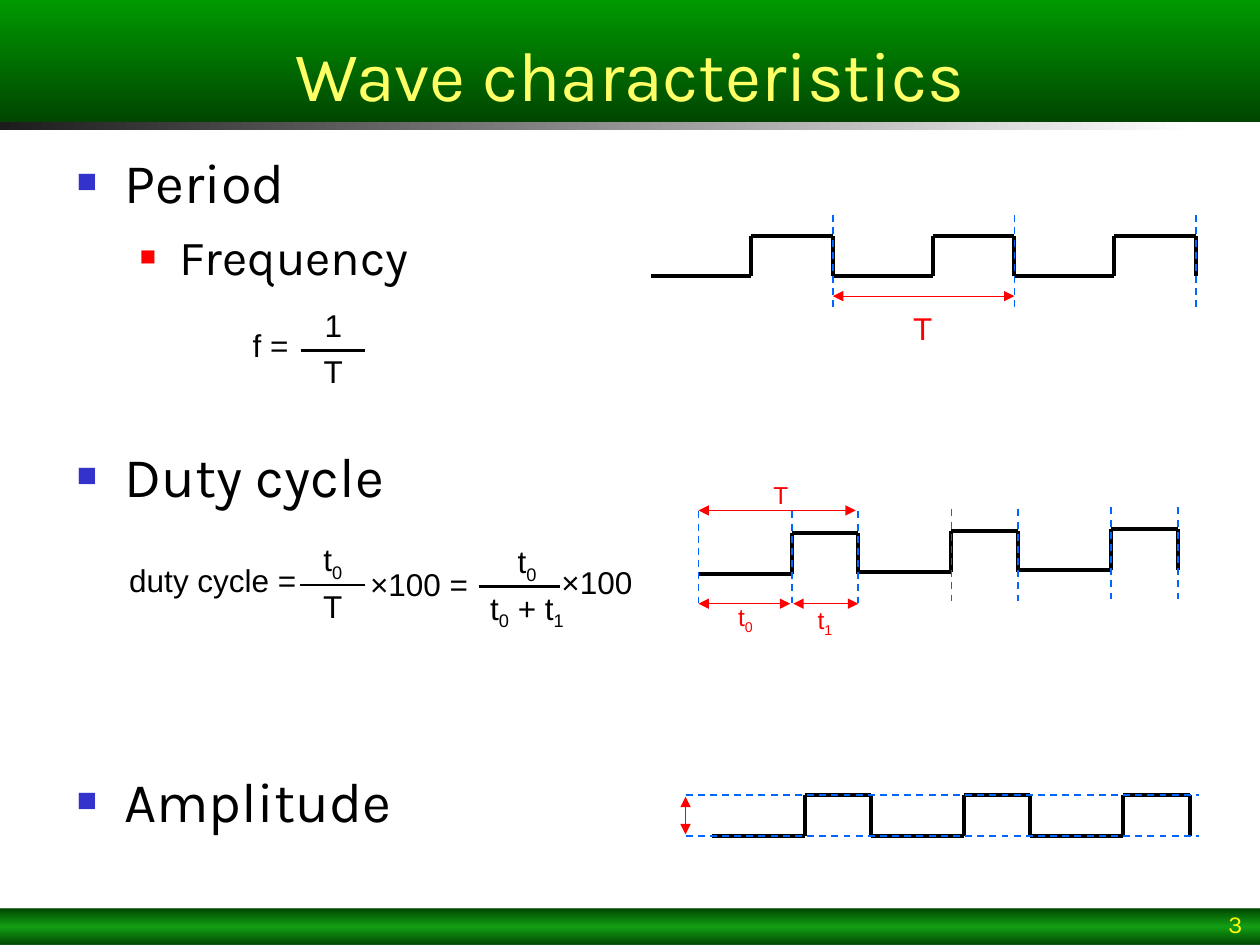
from pptx import Presentation
from pptx.dml.color import RGBColor
from pptx.enum.dml import MSO_LINE_DASH_STYLE as Dash
from pptx.enum.shapes import MSO_CONNECTOR_TYPE as Link, MSO_SHAPE as Preset
from pptx.enum.text import MSO_ANCHOR as Anchor, PP_ALIGN as Align
from pptx.oxml import parse_xml
from pptx.oxml.ns import nsdecls, qn
from pptx.util import Cm, Pt

BLACK, RED = "000000", "FF0000"
STROKES = {
    "wave": {"colour": BLACK, "width": 2.25},
    "bar": {"colour": BLACK, "width": 1.5},
    "guide": {"colour": "0066FF", "width": 1, "dash": Dash.DASH},
    "arrow": {"colour": RED, "width": 0.75, "heads": True},
}
CYCLES = 3


def rgb(value):
    return RGBColor.from_string(value)


def apply(target, values):
    for key, value in values.items():
        setattr(target, key, value)


def element(tag, attributes="", inner=""):
    return parse_xml(f'<a:{tag} {nsdecls("a")} {attributes}>{inner}</a:{tag}>')


def draw_line(slide, kind, x1, y1, x2, y2):
    stroke = STROKES[kind]
    line = slide.shapes.add_connector(Link.STRAIGHT, Cm(x1), Cm(y1), Cm(x2), Cm(y2))
    line.line.color.rgb = rgb(stroke["colour"])
    apply(line.line, {"width": Pt(stroke["width"]), "dash_style": stroke.get("dash", Dash.SOLID)})
    properties = line._element.spPr
    if stroke.get("heads"):
        for end in ("headEnd", "tailEnd"):
            properties.find(qn("a:ln")).append(element(end, 'type="triangle"'))
    properties.append(element("effectLst"))


def write_runs(paragraph, parts, size, colour=BLACK, face="Arial"):
    for index, part in enumerate(parts):
        run = paragraph.add_run()
        run.text = part
        apply(run.font, {"size": Pt(size), "name": face})
        run.font.color.rgb = rgb(colour)
        if index % 2:
            run.font._element.set("baseline", "-25000")


def add_label(slide, left, top, width, parts, size=18, colour=BLACK,
              align=Align.CENTER, height=1.02, face="Arial", anchor=Anchor.TOP):
    frame = slide.shapes.add_textbox(Cm(left), Cm(top), Cm(width), Cm(height)).text_frame
    apply(frame, {"word_wrap": True, "vertical_anchor": anchor})
    frame.paragraphs[0].alignment = align
    write_runs(frame.paragraphs[0], parts, size, colour, face)


def add_band(slide, left, top, width, height, stops, angle):
    band = slide.shapes.add_shape(Preset.RECTANGLE, Cm(left), Cm(top), Cm(width), Cm(height))
    band.shadow.inherit = False
    band.line.fill.background()
    colours = "".join(
        f'<a:gs pos="{position * 1000}"><a:srgbClr val="{colour}">'
        f'<a:alpha val="{alpha * 1000}"/></a:srgbClr></a:gs>'
        for position, colour, alpha in stops)
    band._element.spPr.insert(2, element(
        "gradFill", 'rotWithShape="1"',
        f'<a:gsLst>{colours}</a:gsLst><a:lin ang="{angle * 60000}" scaled="0"/>'))
    return band


def add_header(slide, left, top, width, height):
    add_band(slide, left, top + height, width - 1.25, 0.16,
             [(0, "1C1C1C", 100), (100, "FFFFFF", 100)], 0)
    banner = add_band(slide, left, top, width, height,
                      [(0, "009900", 100), (100, "004600", 100)], 90)
    frame = banner.text_frame
    apply(frame, {"word_wrap": True, "vertical_anchor": Anchor.BOTTOM})
    frame.paragraphs[0].alignment = Align.CENTER
    write_runs(frame.paragraphs[0], ["Wave characteristics"], 40, "FFFF66", "Karla")


def add_footer(slide, left, top, width, height):
    add_band(slide, left, top, width, height,
             [(0, "004600", 100), (50, "009900", 92), (100, "004600", 100)], 90)
    add_label(slide, left + width - 5.51, top + 0.03, 5.41, ["3"], 14, "FFFB0B",
              Align.RIGHT, height - 0.03, "Karla", Anchor.BOTTOM)


def add_topics(slide, left, top, width, height):
    topics = [("Period", 0, 0), ("Frequency", 1, 7), ("Duty cycle", 0, 89.2),
              ("Amplitude", 0, 147.2)]
    levels = [{"margin": 0.96, "hang": 0.96, "bullet": "3333CC", "scale": 60, "size": 32},
              {"margin": 2.06, "hang": 0.79, "bullet": RED, "scale": 55, "size": 28}]
    frame = slide.shapes.add_textbox(Cm(left), Cm(top), Cm(width), Cm(height)).text_frame
    frame.word_wrap = True
    for index, (topic, level, before) in enumerate(topics):
        paragraph = frame.add_paragraph() if index else frame.paragraphs[0]
        style = levels[level]
        properties = paragraph._p.get_or_add_pPr()
        properties.set("marL", str(Cm(style["margin"])))
        properties.set("indent", str(-Cm(style["hang"])))
        for bullet in (element("buClr", "", f'<a:srgbClr val="{style["bullet"]}"/>'),
                       element("buSzPct", f'val="{style["scale"] * 1000}"'),
                       element("buFont", 'typeface="Arial"'),
                       element("buChar", 'char="■"')):
            properties.append(bullet)
        apply(paragraph, {"level": level, "space_before": Pt(before)})
        write_runs(paragraph, [topic], style["size"], face="Karla")


def add_fraction(slide, left, top, width, bar, numerator, denominator):
    add_label(slide, left + (width - 1.04) / 2, top - 0.94, 1.04, numerator)
    add_label(slide, left, top, width, denominator)
    draw_line(slide, "bar", left + 0.19, top + 0.08, left + 0.19 + bar, top + 0.08)


def add_frequency_formula(slide, left, top):
    add_label(slide, left, top, 1.85, [" f ="], align=Align.LEFT)
    add_fraction(slide, left + 1.2, top + 0.53, 1.7, 1.3, ["1"], ["T"])


def add_duty_formula(slide, left, top):
    for x, y, width, term in [(0, 0, 4.34, " duty cycle ="), (5.03, 0.08, 2.69, "×100 ="),
                              (8.89, 0.05, 2.69, "×100")]:
        add_label(slide, left + x, top + y, width, [term], align=Align.LEFT)
    add_fraction(slide, left + 3.68, top + 0.53, 1.7, 1.3, ["t", "0"], ["T"])
    add_fraction(slide, left + 7.29, top + 0.56, 2.31, 1.63, ["t", "0"],
                 ["t", "0", " + t", "1"])


def add_square_wave(slide, left, top, low, high, height, drift=0):
    for cycle in range(CYCLES):
        start = left + cycle * (low + high)
        rise, fall = start + low, start + low + high
        crest = top - cycle * drift
        base = crest + height
        for segment in [(start, base, rise, base), (rise, crest, fall, crest),
                        (rise, base, rise, crest), (fall, base, fall, crest)]:
            draw_line(slide, "wave", *segment)


def add_period_wave(slide, left, top):
    low, high = 2.01, 1.65
    period = low + high
    add_square_wave(slide, left, top, low, high, 0.82)
    for cycle in range(1, CYCLES + 1):
        x = left + cycle * period
        draw_line(slide, "guide", x, top - 0.41, x, top + 1.45)
    draw_line(slide, "arrow", left + 2 * period, top + 1.22, left + period, top + 1.22)
    add_label(slide, left + 4.9, top + 1.35, 1.14, ["T"], colour=RED)


def add_duty_wave(slide, left, top):
    low, high, drift = 1.88, 1.34, 0.04
    period = low + high
    add_square_wave(slide, left, top, low, high, 0.83, drift)
    draw_line(slide, "guide", left, top - 0.43, left, top + 1.43)
    for cycle in range(CYCLES):
        for offset in (low, period):
            x, y = left + cycle * period + offset, top - cycle * drift
            draw_line(slide, "guide", x, y - 0.43, x, y + 1.43)
    for start, end, y in [(0, period - 0.05, -0.45), (0, low - 0.03, 1.43),
                          (low + 0.03, period, 1.43)]:
        draw_line(slide, "arrow", left + end, top + y, left + start, top + y)
    for x, y, parts in [(1.08, -1.19, ["T"]), (0.37, 1.27, ["t", "0"]),
                        (1.97, 1.33, ["t", "1"])]:
        add_label(slide, left + x, top + y, 1.16, parts, 14, RED, height=0.9)


def add_amplitude_wave(slide, left, top, width, height):
    add_square_wave(slide, left + 0.53, top, 1.87, 1.34, height)
    draw_line(slide, "arrow", left, top + height - 0.03, left, top + 0.03)
    for y in (top, top + height):
        draw_line(slide, "guide", left, y, left + width, y)


def main():
    deck = Presentation()
    apply(deck, {"slide_width": Cm(25.4), "slide_height": Cm(19.05)})
    slide = deck.slides.add_slide(deck.slide_layouts[6])
    add_footer(slide, 0, 18.31, 25.4, 0.74)
    add_header(slide, 0, 0, 25.4, 2.46)
    add_topics(slide, 1.3, 2.84, 23.09, 15.24)
    add_period_wave(slide, 13.13, 4.75)
    add_frequency_formula(slide, 4.67, 6.45)
    add_duty_wave(slide, 14.08, 10.74)
    add_duty_formula(slide, 2.18, 11.18)
    add_amplitude_wave(slide, 13.82, 16.03, 10.36, 0.82)
    deck.save("out.pptx")


if __name__ == "__main__":
    main()
